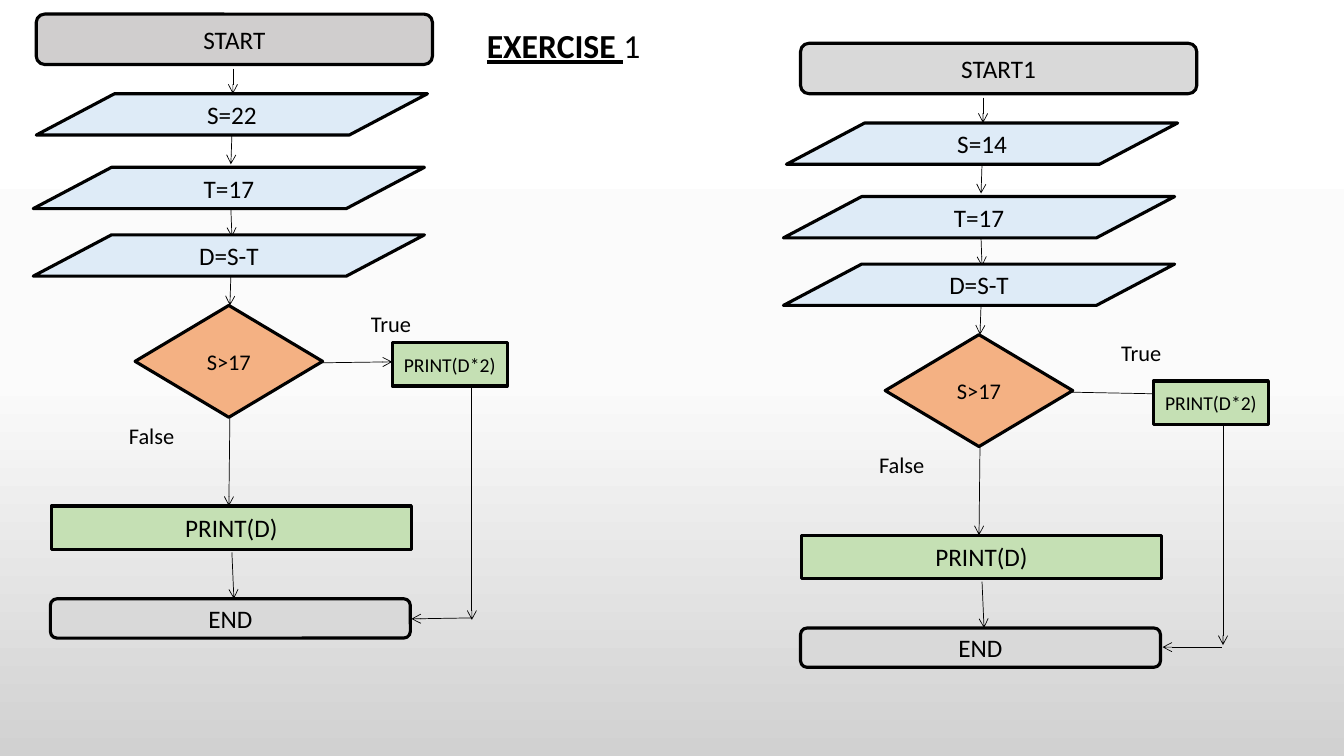
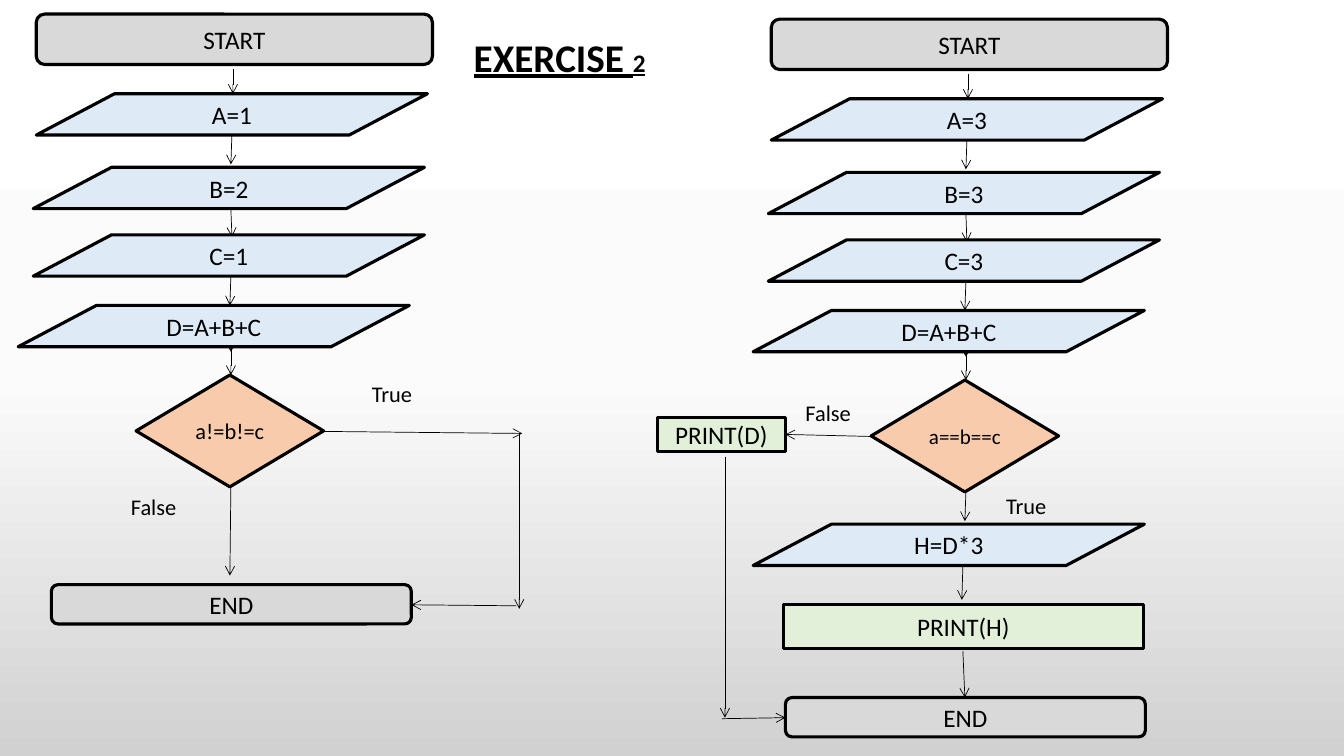
"""Build two exercise slides, each with a pair of flowcharts."""
import copy

import pptx
import pptx.dml.color
import pptx.enum.shapes
import pptx.enum.text
import pptx.oxml.ns
import pptx.util
from lxml import etree

COLUMNS, ROWS = 1333, 750
CELL = pptx.util.Inches(0.01)
RGB = pptx.dml.color.RGBColor
SHAPE = pptx.enum.shapes.MSO_SHAPE
ALIGN = pptx.enum.text.PP_ALIGN
qn = pptx.oxml.ns.qn

BLACK = RGB(0x00, 0x00, 0x00)
GREY = RGB(0xD9, 0xD9, 0xD9)
WARM_GREY = RGB(0xD0, 0xCE, 0xCE)
BLUE = RGB(0xDE, 0xEB, 0xF7)
GREEN = RGB(0xC5, 0xE0, 0xB4)
PALE_GREEN = RGB(0xE2, 0xF0, 0xD9)
ORANGE = RGB(0xF4, 0xB1, 0x83)
PALE_ORANGE = RGB(0xF8, 0xCB, 0xAD)
BACKDROP = [(0, RGB(0xFF, 0xFF, 0xFF)), (0.5, RGB(0xFB, 0xFB, 0xFB)), (1, RGB(0xD1, 0xD1, 0xD1))]

STEPS = {
    "start": (SHAPE.FLOWCHART_ALTERNATE_PROCESS, 393, 50),
    "input": (SHAPE.FLOWCHART_DATA, 388, 41),
    "decision": (SHAPE.DIAMOND, 186, 111),
    "print": (SHAPE.FLOWCHART_PROCESS, 357, 43),
    "double": (SHAPE.FLOWCHART_PROCESS, 114, 43),
    "aside": (SHAPE.FLOWCHART_PROCESS, 127, 34),
    "end": (SHAPE.FLOWCHART_ALTERNATE_PROCESS, 357, 39),
}
BRANCHES = {"True": 62, "False": 76}
INPUT_SPOTS = [(36, 93), (33, 166), (33, 233)]
OPENING_ARROWS = [(231, 68, 231, 93), (230, 134, 229, 163), (229, 207, 230, 235), (229, 274, 228, 303)]

subtract_steps = [
    ("decision", "S>17", 134, 303, 16),
    ("print", "PRINT(D)", 51, 502, 18),
    ("end", "END", 50, 594, 18),
]
subtract_arrows = [(228, 414, 227, 502), (230, 548, 232, 594)]
subtract_labels = [("True", 358, 303), ("False", 118, 414)]
sum_steps = [("input", "D=A+B+C", 18, 303, 18)]
sum_arrows = [(229, 344, 229, 372), (227, 319, 228, 347), (230, 321, 229, 349)]
bold = {"bold": True, "underline": True}

exercises = [
    {
        "title": [("EXERCISE ", {"size": 24, **bold}), ("1", {"size": 24})],
        "title_box": (473, 20, 292, 50),
        "green": GREEN, "orange": ORANGE,
        "charts": [
            {
                "origin": (0, 0), "start": ("START", 36, WARM_GREY), "inputs": ["S=22", "T=17", "D=S-T"],
                "steps": subtract_steps + [("double", "PRINT(D*2)", 389, 340, 14)],
                "arrows": subtract_arrows
                + [(313, 360, 389, 359), (468, 383, 468, 615), (468, 613, 408, 614)],
                "labels": subtract_labels,
            },
            {
                "origin": (744, 29), "start": ("START1", 50, GREY), "inputs": ["S=14", "T=17", "D=S-T"],
                "steps": subtract_steps + [("double", "PRINT(D*2)", 400, 349, 14)],
                "arrows": subtract_arrows
                + [(314, 360, 469, 363), (469, 360, 469, 611), (468, 613, 409, 613)],
                "labels": subtract_labels,
            },
        ],
    },
    {
        "title": [("EXERCISE ", {"size": 28, **bold}), ("2", {"size": 18, **bold})],
        "title_box": (460, 28, 288, 57),
        "green": PALE_GREEN, "orange": PALE_ORANGE,
        "charts": [
            {
                "origin": (0, 0), "start": ("START", 36, GREY), "inputs": ["A=1", "B=2", "C=1"],
                "steps": sum_steps + [("decision", "a!=b!=c", 135, 372, 16), ("end", "END", 51, 580, 18)],
                "arrows": sum_arrows + [(321, 428, 518, 430), (229, 483, 228, 571),
                                        (515, 430, 515, 604), (512, 601, 408, 600)],
                "labels": [("True", 359, 372), ("False", 120, 484)],
            },
            {
                "origin": (729, 5), "start": ("START", 36, GREY), "inputs": ["A=3", "B=3", "C=3"],
                "steps": sum_steps + [
                    ("decision", "a==b==c", 135, 372, 15),
                    ("aside", "PRINT(D)", -77, 409, 18),
                    ("input", "H=D*3", 18, 515, 18),
                    ("print", "PRINT(H)", 48, 595, 18),
                    ("end", "END", 50, 687, 18),
                ],
                "arrows": sum_arrows + [(229, 483, 228, 512), (135, 428, 50, 426), (-10, 448, -10, 707),
                                        (-13, 708, 50, 707), (226, 556, 225, 590), (226, 641, 228, 687)],
                "labels": [("True", 259, 478), ("False", 60, 386)],
            },
        ],
    },
]


def write(frame, runs, align):
    """Fill a text frame with one paragraph of formatted runs."""
    frame.word_wrap = True
    paragraph = frame.paragraphs[0]
    paragraph.alignment = align
    for words, look in runs:
        run = paragraph.add_run()
        run.text = words
        for name, value in {"name": "Calibri", **look, "size": pptx.util.Pt(look["size"])}.items():
            setattr(run.font, name, value)
        run.font.color.rgb = BLACK


def add_note(slide, box, runs):
    """Place a left-aligned text box that grows with its text."""
    note = slide.shapes.add_textbox(*(CELL * length for length in box))
    write(note.text_frame, runs, ALIGN.LEFT)
    note.text_frame.auto_size = pptx.enum.text.MSO_AUTO_SIZE.SHAPE_TO_FIT_TEXT


deck = pptx.Presentation()
deck.slide_width, deck.slide_height = CELL * COLUMNS, CELL * ROWS

backdrop = deck.slide_master.background.fill
backdrop.gradient()
backdrop.gradient_angle = 270
stops = deck.slide_master.element.find(".//" + qn("p:bg")).find(".//" + qn("a:gsLst"))
stops.append(copy.deepcopy(stops[-1]))
for stop, (position, colour) in zip(backdrop.gradient_stops, BACKDROP):
    stop.position = position
    stop.color.rgb = colour

for exercise in exercises:
    slide = deck.slides.add_slide(deck.slide_layouts[6])
    fills = {"input": BLUE, "decision": exercise["orange"], "end": GREY}
    for chart in exercise["charts"]:
        across, down = chart["origin"]

        for x1, y1, x2, y2 in OPENING_ARROWS + chart["arrows"]:
            arrow = slide.shapes.add_connector(
                pptx.enum.shapes.MSO_CONNECTOR.STRAIGHT,
                CELL * (across + x1), CELL * (down + y1), CELL * (across + x2), CELL * (down + y2))
            arrow.line.color.rgb = BLACK
            arrow.line.width = pptx.util.Pt(0.5)
            etree.SubElement(arrow.line._get_or_add_ln(), qn("a:tailEnd"), type="arrow")
            etree.SubElement(arrow._element.spPr, qn("a:effectLst"))

        start_text, start_left, fills["start"] = chart["start"]
        steps = [("start", start_text, start_left, 14, 18)]
        steps += [("input", words, *spot, 18) for words, spot in zip(chart["inputs"], INPUT_SPOTS)]
        for kind, words, left, top, size in steps + chart["steps"]:
            outline, width, height = STEPS[kind]
            step = slide.shapes.add_shape(
                outline, CELL * (across + left), CELL * (down + top), CELL * width, CELL * height)
            step.shadow.inherit = False
            step.fill.solid()
            step.fill.fore_color.rgb = fills.get(kind, exercise["green"])
            step.line.color.rgb = BLACK
            step.line.width = pptx.util.Pt(2.25)
            step.text_frame.vertical_anchor = pptx.enum.text.MSO_ANCHOR.MIDDLE
            write(step.text_frame, [(words, {"size": size})], ALIGN.CENTER)

        for words, left, top in chart["labels"]:
            add_note(slide, (across + left, down + top, BRANCHES[words], 37), [(words, {"size": 16})])

    add_note(slide, exercise["title_box"], exercise["title"])

deck.save("out.pptx")
